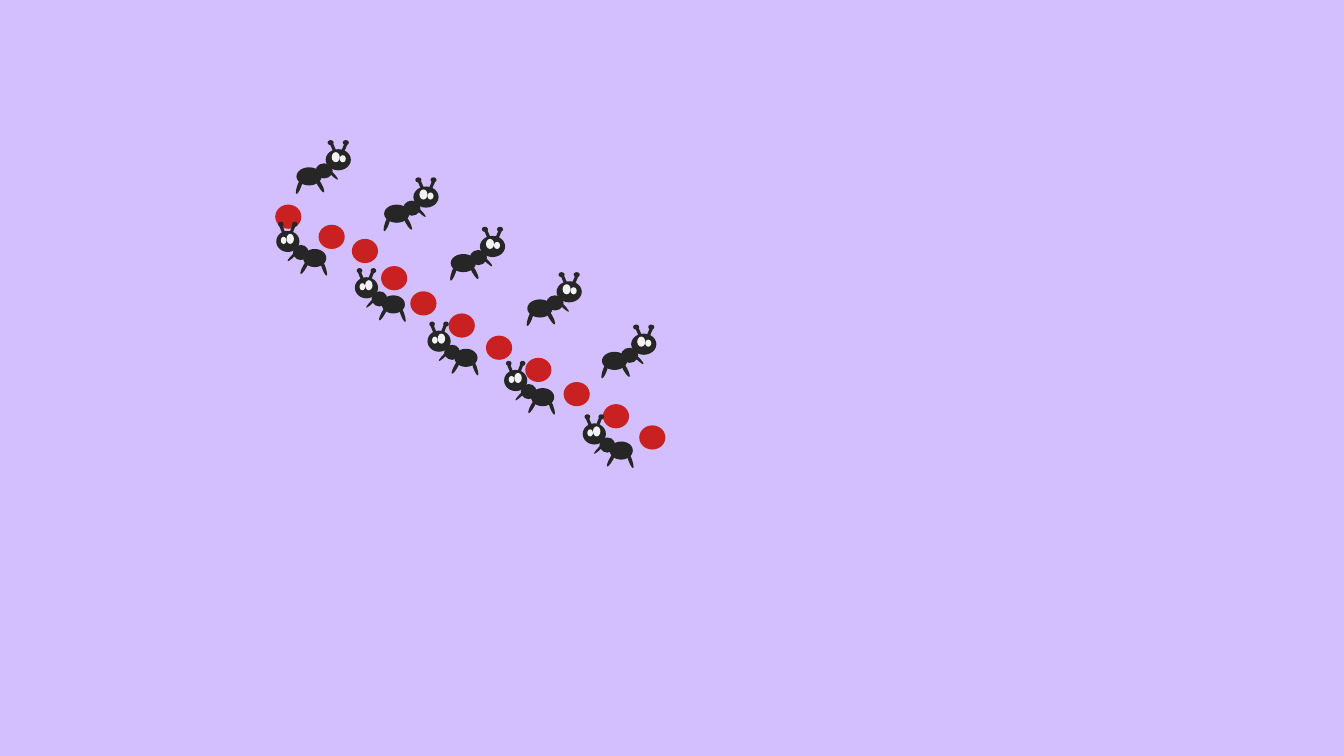
"""Build a slide of two ant columns marching along a trail of red berries."""
from dataclasses import dataclass

from lxml.etree import SubElement
from pptx import Presentation
from pptx.dml.color import RGBColor
from pptx.enum.shapes import MSO_CONNECTOR, MSO_SHAPE
from pptx.oxml.ns import qn
from pptx.util import Inches, Pt


@dataclass(frozen=True)
class Theme:
    lilac: str = "D3BEFE"
    black: str = "262626"
    white: str = "F2F2F2"
    red: str = "C92121"
    antenna_width: float = 2.25


THEME = Theme()

BERRY_SIZE = (0.26, 0.24)
BERRIES = [
    (6.34, 4.22), (5.98, 4.01), (5.59, 3.79), (5.21, 3.55),
    (4.82, 3.33), (4.45, 3.11), (4.07, 2.89), (3.78, 2.64),
    (3.49, 2.37), (3.16, 2.23), (2.73, 2.03),
]

RIGHTWARD_ANTS = [(2.94, 1.39), (3.81, 1.76), (4.47, 2.25), (5.23, 2.70), (5.97, 3.22)]
LEFTWARD_ANTS = [(2.74, 2.20), (3.52, 2.66), (4.24, 3.19), (5.00, 3.58), (5.78, 4.11)]

ANT_WIDTH = 0.54
LEFTWARD_SCALE = 0.92

# Left, top, width, height, rotation and colour within a rightward ant
BODY = [
    (0.00, 0.27, 0.25, 0.18, 0, THEME.black),
    (0.19, 0.23, 0.17, 0.15, 0, THEME.black),
    (0.29, 0.09, 0.25, 0.21, 0, THEME.black),
    (0.43, 0.15, 0.06, 0.07, 0, THEME.white),
    (0.35, 0.12, 0.08, 0.10, 0, THEME.white),
    (0.01, 0.36, 0.04, 0.18, 19.9, THEME.black),
    (0.21, 0.35, 0.04, 0.18, 331.1, THEME.black),
    (0.33, 0.23, 0.03, 0.19, 314.8, THEME.black),
]
ANTENNAE = [(0.35, 0.04, 0.38, 0.11), (0.49, 0.04, 0.46, 0.11)]
ANTENNA_TIPS = [
    (0.31, 0.00, 0.06, 0.05, 0, THEME.black),
    (0.46, 0.00, 0.06, 0.05, 0, THEME.black),
]


def add_oval(shapes, left, top, width, height, colour, rotation=0):
    oval = shapes.add_shape(
        MSO_SHAPE.OVAL, Inches(left), Inches(top), Inches(width), Inches(height))
    oval.rotation = rotation
    oval.shadow.inherit = False
    oval.fill.solid()
    oval.fill.fore_color.rgb = RGBColor.from_string(colour)
    oval.line.fill.background()


def add_antenna(shapes, *ends):
    antenna = shapes.add_connector(MSO_CONNECTOR.STRAIGHT, *map(Inches, ends))
    antenna.line.color.rgb = RGBColor.from_string(THEME.black)
    antenna.line.width = Pt(THEME.antenna_width)
    SubElement(antenna._element.spPr, qn("a:effectLst"))


def add_ant(slide, left, top, leftward):
    ant = slide.shapes.add_group_shape().shapes
    scale = LEFTWARD_SCALE if leftward else 1

    def place(x, width=0):
        return left + scale * (ANT_WIDTH - x - width if leftward else x)

    def add_parts(parts):
        for x, y, width, height, rotation, colour in parts:
            turn = -rotation % 360 if leftward else rotation
            add_oval(ant, place(x, width), top + y, width * scale, height, colour, turn)

    add_parts(BODY)
    for x1, y1, x2, y2 in ANTENNAE:
        add_antenna(ant, place(x1), top + y1, place(x2), top + y2)
    add_parts(ANTENNA_TIPS)


def main():
    deck = Presentation()
    deck.slide_width, deck.slide_height = Inches(13.33), Inches(7.5)
    slide = deck.slides.add_slide(deck.slide_layouts[6])
    slide.background.fill.solid()
    slide.background.fill.fore_color.rgb = RGBColor.from_string(THEME.lilac)

    for left, top in BERRIES:
        add_oval(slide.shapes, left, top, *BERRY_SIZE, THEME.red)
    for ants, leftward in ((LEFTWARD_ANTS, True), (RIGHTWARD_ANTS, False)):
        for left, top in ants:
            add_ant(slide, left, top, leftward)

    deck.save("out.pptx")


if __name__ == "__main__":
    main()
